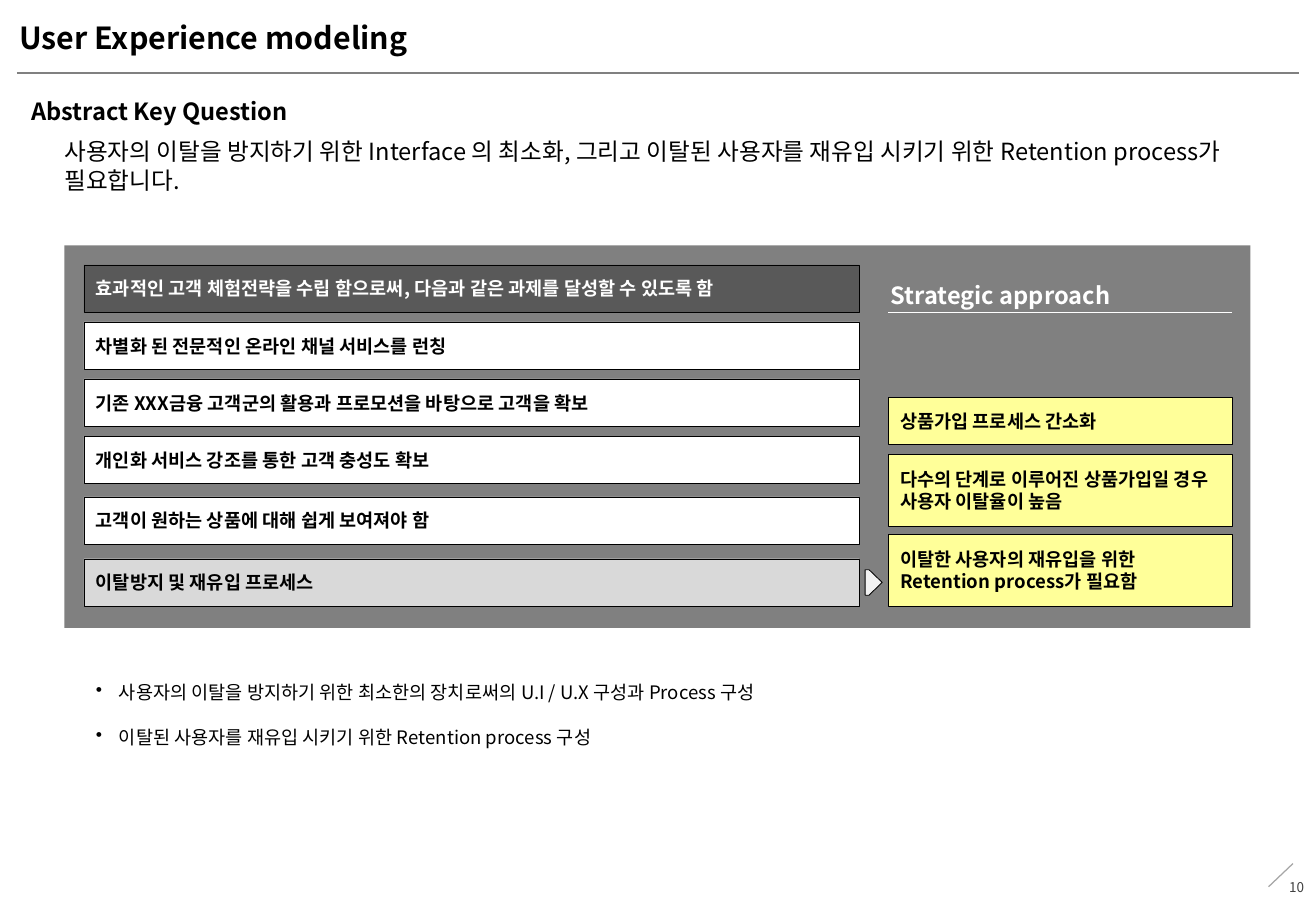
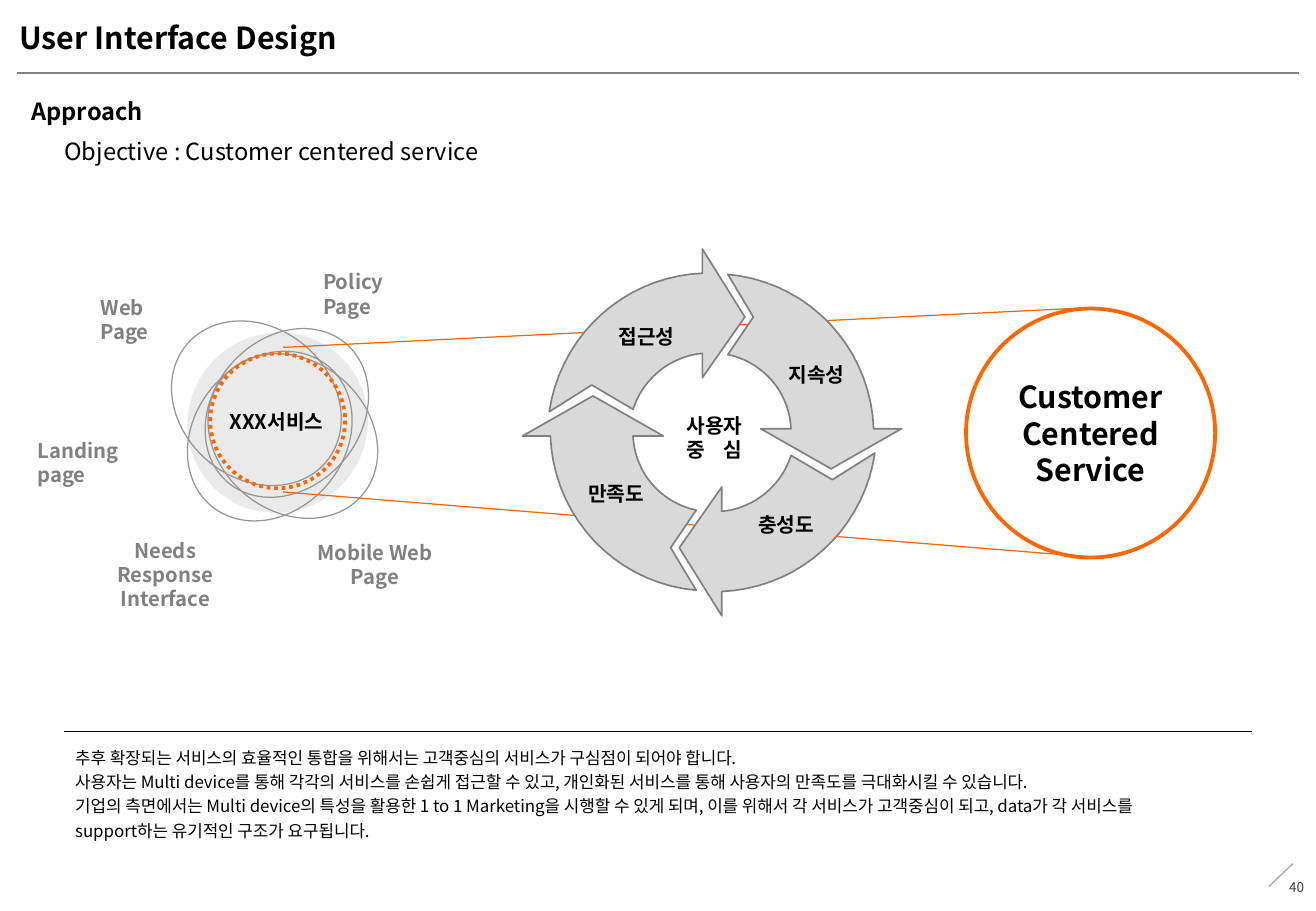
from dataclasses import dataclass
from math import atan2, cos, hypot, sin

from lxml.etree import SubElement
from pptx import Presentation
from pptx.dml.color import RGBColor
from pptx.enum.dml import MSO_LINE_DASH_STYLE as Dash
from pptx.enum.shapes import MSO_CONNECTOR as Connector, MSO_SHAPE as Preset
from pptx.enum.text import MSO_ANCHOR as Anchor, PP_ALIGN as Align
from pptx.oxml.ns import qn
from pptx.util import Inches, Pt

FONT = "Noto Sans CJK KR"
COLORS = {
    "black": "000000", "white": "FFFFFF", "gray": "808080", "charcoal": "595959",
    "number": "404040", "slash": "A6A6A6", "ring": "969696", "disc": "EAEAEA",
    "silver": "D9D9D9", "pale": "F2F2F2", "yellow": "FFFF99", "orange": "FF6600",
}
Point = tuple[float, float]
Frame = tuple[float, float, float, float]


@dataclass(frozen=True)
class TextStyle:
    size: float
    bold: bool = False
    color: str = "black"
    align: Align = Align.LEFT
    anchor: Anchor = Anchor.TOP
    wrap: bool = True
    insets: Frame = (0.1, 0.05, 0.1, 0.05)
    spacing: float | None = None
    gap: float = 0
    bullet: bool = False


@dataclass(frozen=True)
class Bar:
    """A boxed statement in one of the two columns."""
    text: str
    top: float
    height: float = 0.39
    fill: str = "white"
    color: str = "black"


@dataclass(frozen=True)
class Label:
    text: str
    frame: Frame


@dataclass(frozen=True)
class CycleArrow:
    """Corners measured from the centre of the cycle."""
    inner: tuple[Point, Point]
    head: tuple[Point, Point, Point]
    outer: tuple[Point, Point]
    notch: Point


TITLE = TextStyle(18, True, insets=(0, 0.06, 0, 0.06))
HEADING = TextStyle(14, True)
LEAD = TextStyle(14, insets=(0, 0.05, 0.1, 0.05))
NUMBER = TextStyle(8, color="number", align=Align.RIGHT, anchor=Anchor.MIDDLE)
BULLETS = TextStyle(11, gap=13.3, bullet=True)
NOTE = TextStyle(10, spacing=1.2)
COLUMN_HEAD = TextStyle(14, True, "white", spacing=1.4)
PAGE_LABEL = TextStyle(12, True, "gray")
PAGE_LABEL_CENTER = TextStyle(12, True, "gray", Align.CENTER)
CORE_LABEL = TextStyle(12, True, align=Align.CENTER, wrap=False)
GOAL = TextStyle(18, True, align=Align.CENTER, anchor=Anchor.MIDDLE, wrap=False,
                 insets=(0, 0, 0, 0))

TASK_BARS = [
    Bar("효과적인 고객 체험전략을 수립 함으로써, 다음과 같은 과제를 달성할 수 있도록 함", 2.18,
        fill="charcoal", color="white"),
    Bar("차별화 된 전문적인 온라인 채널 서비스를 런칭", 2.65),
    Bar("기존 XXX금융 고객군의 활용과 프로모션을 바탕으로 고객을 확보", 3.12),
    Bar("개인화 서비스 강조를 통한 고객 충성도 확보", 3.59),
    Bar("고객이 원하는 상품에 대해 쉽게 보여져야 함", 4.09),
    Bar("이탈방지 및 재유입 프로세스", 4.6, fill="silver"),
]
STRATEGY_BARS = [
    Bar("상품가입 프로세스 간소화", 3.27, fill="yellow"),
    Bar("다수의 단계로 이루어진 상품가입일 경우 사용자 이탈율이 높음", 3.74, 0.59, "yellow"),
    Bar("이탈한 사용자의 재유입을 위한 Retention process가 필요함", 4.4, 0.59, "yellow"),
]
LEFT_LABELS = [
    Label("Policy Page", (2.56, 2.17, 0.95, 0.5)),
    Label("Web Page", (0.73, 2.38, 0.9, 0.5)),
    Label("Landing page", (0.21, 3.56, 1.15, 0.5)),
]
CENTER_LABELS = [
    Label("Needs Response\nInterface", (0.63, 4.38, 1.46, 0.7)),
    Label("Mobile Web Page", (2.38, 4.4, 1.41, 0.5)),
]
CORE_LABELS = [
    Label("접근성", (4.98, 2.62, 0.68, 0.3)),
    Label("지속성", (6.38, 2.93, 0.68, 0.3)),
    Label("만족도", (4.73, 3.91, 0.68, 0.3)),
    Label("충성도", (6.13, 4.17, 0.68, 0.3)),
    Label("XXX서비스", (1.77, 3.32, 1.01, 0.3)),
]
RINGS = [
    ((1.36, 2.7, 1.5, 1.24), 40.4), ((1.66, 2.97, 1.5, 1.24), 40.4),
    ((1.61, 2.79, 1.5, 1.22), 130.4), ((1.47, 2.97, 1.5, 1.24), 130.4),
]
CYCLE_CENTER = (5.86, 3.56)
CYCLE_ARROWS = [
    CycleArrow(((-0.65, -0.19), (-0.08, -0.65)),
               ((-0.08, -0.45), (0.27, -0.95), (-0.08, -1.51)),
               ((-0.08, -1.31), (-1.34, -0.17)), (-0.99, -0.39)),
    CycleArrow(((0.13, -0.64), (0.65, -0.03)),
               ((0.4, -0.03), (0.98, 0.3), (1.56, -0.03)),
               ((1.33, -0.03), (0.13, -1.3)), (0.34, -0.95)),
]


def rgb(name: str) -> RGBColor:
    return RGBColor.from_string(COLORS[name])


def set_all(target, values: dict) -> None:
    for name, value in values.items():
        setattr(target, name, value)


# Text
def write(shape, text: str, style: TextStyle) -> None:
    frame = shape.text_frame
    sides = ("margin_left", "margin_top", "margin_right", "margin_bottom")
    set_all(frame, dict(zip(sides, map(Inches, style.insets))))
    set_all(frame, {"word_wrap": style.wrap, "vertical_anchor": style.anchor})
    for index, line in enumerate(text.split("\n")):
        para = frame.paragraphs[0] if index == 0 else frame.add_paragraph()
        para.text = line
        set_all(para, {"alignment": style.align, "line_spacing": style.spacing})
        if index and style.gap:
            para.space_before = Pt(style.gap)
        if style.bullet:
            props = para._p.get_or_add_pPr()
            props.set("marL", str(Inches(0.19)))
            props.set("indent", str(-Inches(0.19)))
            SubElement(props, qn("a:buChar"), char="•")
        for span in para.runs:
            set_all(span.font, {"name": FONT, "size": Pt(style.size), "bold": style.bold})
            span.font.color.rgb = rgb(style.color)
            SubElement(span._r.get_or_add_rPr(), qn("a:ea"), typeface=FONT)


def add_text(page, frame: Frame, text: str, style: TextStyle):
    box = page.shapes.add_textbox(*map(Inches, frame))
    write(box, text, style)
    return box


# Shapes and lines
def paint(shape, fill: str | None, line: str | None, width: float) -> None:
    shape.shadow.inherit = False
    if fill:
        shape.fill.solid()
        shape.fill.fore_color.rgb = rgb(fill)
    else:
        shape.fill.background()
    if line:
        shape.line.color.rgb = rgb(line)
        shape.line.width = Pt(width)
    else:
        shape.line.fill.background()


def add_preset(page, preset: Preset, frame: Frame, fill: str | None = None,
               line: str | None = None, width: float = 0.75, rotation: float = 0):
    shape = page.shapes.add_shape(preset, *map(Inches, frame))
    shape.rotation = rotation
    paint(shape, fill, line, width)
    return shape


def add_line(page, start: Point, end: Point, color: str, width: float = 0.75) -> None:
    line = page.shapes.add_connector(Connector.STRAIGHT, *map(Inches, start + end))
    line.line.color.rgb = rgb(color)
    line.line.width = Pt(width)
    SubElement(line._element.spPr, qn("a:effectLst"))


def add_bar(page, bar: Bar, left: float, width: float) -> None:
    shape = add_preset(page, Preset.RECTANGLE, (left, bar.top, width, bar.height),
                       bar.fill, "black", 0.25)
    write(shape, bar.text, TextStyle(11, True, bar.color, anchor=Anchor.MIDDLE,
                                     insets=(0.1, 0, 0.1, 0)))


def arc(start: Point, end: Point, steps: int = 18) -> list[Point]:
    """Points between two places, with even steps of angle and radius."""
    (r0, a0), (r1, a1) = [(hypot(x, y), atan2(y, x)) for x, y in (start, end)]
    points = []
    for step in range(steps + 1):
        share = step / steps
        radius, angle = r0 + (r1 - r0) * share, a0 + (a1 - a0) * share
        points.append((radius * cos(angle), radius * sin(angle)))
    return points


def add_cycle_arrow(page, arrow: CycleArrow, turn: int) -> None:
    """Draw an arrow as given (turn 1) or half a turn round (turn -1)."""
    corners = [*arc(*arrow.inner), *arrow.head, *arc(*arrow.outer), arrow.notch]
    center_x, center_y = CYCLE_CENTER
    points = [(1000 * (center_x + turn * x), 1000 * (center_y + turn * y))
              for x, y in corners]
    builder = page.shapes.build_freeform(*points[0], scale=Inches(1) / 1000)
    builder.add_line_segments(points[1:], close=True)
    paint(builder.convert_to_shape(), "silver", "gray", 1)


# Parts shared by the slides
def add_page(deck, number: str, title: str, heading: str, lead: str):
    page = deck.slides.add_slide(deck.slide_layouts[6])
    add_line(page, (0.14, 0.6), (10.69, 0.6), "gray")
    add_line(page, (10.64, 7.11), (10.44, 7.3), "slash")
    add_text(page, (10.22, 7.1, 0.61, 0.4), number, NUMBER)
    add_text(page, (0.16, 0.1, 8.09, 0.42), title, TITLE)
    add_text(page, (0.16, 0.75, 10.54, 0.34), heading, HEADING)
    add_text(page, (0.53, 1.08, 10.16, 0.57), lead, LEAD)
    return page


def add_modeling_page(deck) -> None:
    page = add_page(
        deck, "10", "User Experience modeling", "Abstract Key Question",
        "사용자의 이탈을 방지하기 위한 Interface 의 최소화, 그리고 이탈된 사용자를 재유입 시키기 위한 "
        "Retention process가\v필요합니다.")
    # Panel with two columns
    add_preset(page, Preset.RECTANGLE, (0.53, 2.02, 9.76, 3.15), "gray")
    add_text(page, (7.23, 2.17, 2.67, 0.43), "Strategic approach", COLUMN_HEAD)
    add_line(page, (7.31, 2.57), (10.14, 2.57), "white", 0.5)
    for bar in TASK_BARS:
        add_bar(page, bar, 0.69, 6.38)
    for bar in STRATEGY_BARS:
        add_bar(page, bar, 7.31, 2.83)
    pointer = add_preset(page, Preset.PENTAGON, (7.12, 4.69, 0.14, 0.21), "pale", "black", 0.5)
    pointer.adjustments[0] = 0.77
    # Conclusions
    add_text(page, (0.69, 5.56, 9.61, 0.66),
             "사용자의 이탈을 방지하기 위한 최소한의 장치로써의 U.I / U.X 구성과 Process 구성\n"
             "이탈된 사용자를 재유입 시키기 위한 Retention process 구성", BULLETS)


def add_interface_page(deck) -> None:
    page = add_page(deck, "40", "User Interface Design", "Approach",
                    "Objective : Customer centered service")
    # Service circles
    add_preset(page, Preset.OVAL, (1.55, 2.73, 1.47, 1.5), "disc", rotation=46.8)
    for frame, rotation in RINGS:
        add_preset(page, Preset.OVAL, frame, line="ring", rotation=rotation)
    core = add_preset(page, Preset.OVAL, (1.73, 2.91, 1.11, 1.11), line="orange", width=2.25)
    core.line.dash_style = Dash.ROUND_DOT
    # Goal and the beams towards it
    goal = add_preset(page, Preset.OVAL, (7.95, 2.54, 2.05, 2.05), "white", "orange", 2.25)
    write(goal, "Customer\nCentered\nService", GOAL)
    add_line(page, (2.33, 2.86), (8.82, 2.54), "orange")
    add_line(page, (2.33, 4.05), (9.03, 4.59), "orange")
    # Cycle
    for arrow in CYCLE_ARROWS:
        for turn in (1, -1):
            add_cycle_arrow(page, arrow, turn)
    # Labels
    for labels, style in ((LEFT_LABELS, PAGE_LABEL), (CENTER_LABELS, PAGE_LABEL_CENTER),
                          (CORE_LABELS, CORE_LABEL)):
        for label in labels:
            add_text(page, label.frame, label.text, style)
    center = add_text(page, (5.54, 3.35, 0.68, 0.5), "사용자\n중 심", CORE_LABEL)
    for span in center.text_frame.paragraphs[-1].runs:
        span._r.get_or_add_rPr().set("spc", "390")
    # Closing note
    add_line(page, (0.53, 6.02), (10.3, 6.02), "black")
    add_text(page, (0.52, 6.07, 9.08, 0.91),
             "추후 확장되는 서비스의 효율적인 통합을 위해서는 고객중심의 서비스가 구심점이 되어야 합니다.\v"
             "사용자는 Multi device를 통해 각각의 서비스를 손쉽게 접근할 수 있고, 개인화된 서비스를 통해 "
             "사용자의 만족도를 극대화시킬 수 있습니다.\v"
             "기업의 측면에서는 Multi device의 특성을 활용한 1 to 1 Marketing을 시행할 수 있게 되며, "
             "이를 위해서 각 서비스가 고객중심이 되고, data가 각 서비스를 support하는 유기적인 구조가 "
             "요구됩니다.", NOTE)


def main() -> None:
    deck = Presentation()
    set_all(deck, {"slide_width": Inches(10.83), "slide_height": Inches(7.5)})
    add_modeling_page(deck)
    add_interface_page(deck)
    deck.save("out.pptx")


if __name__ == "__main__":
    main()
